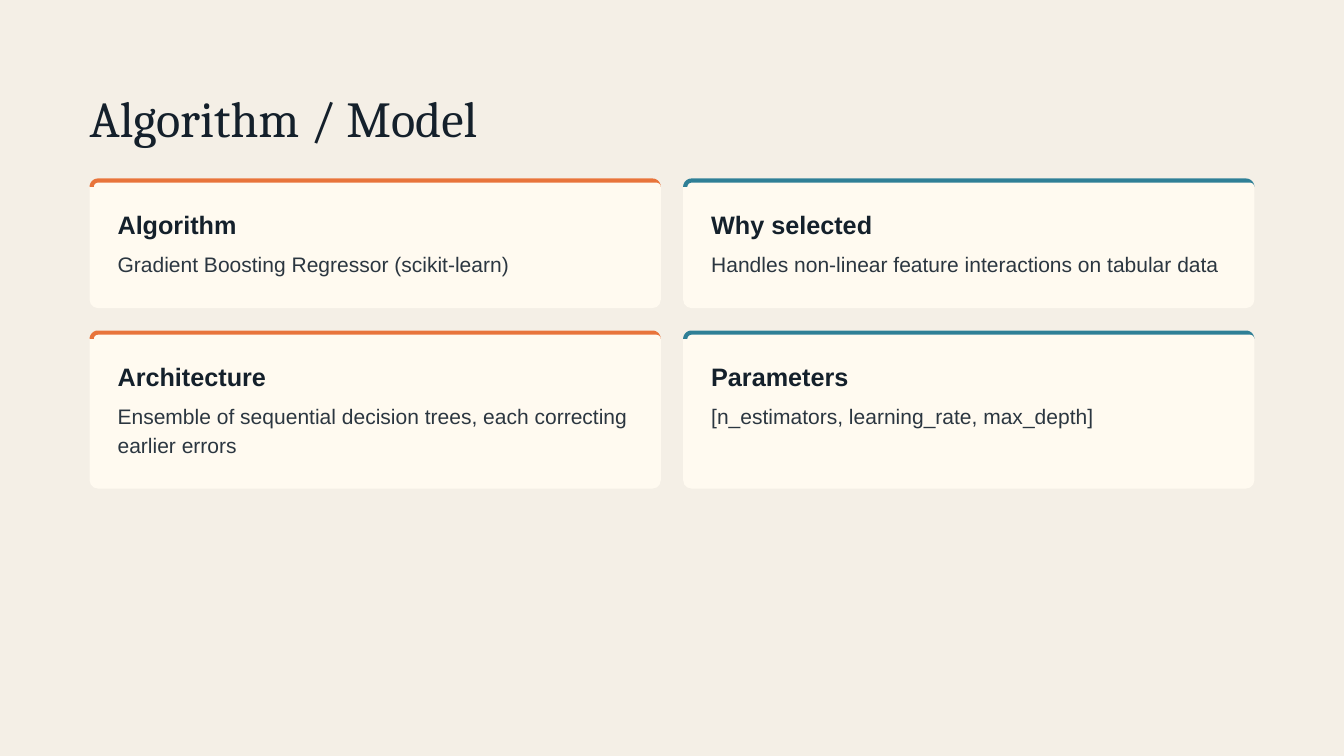
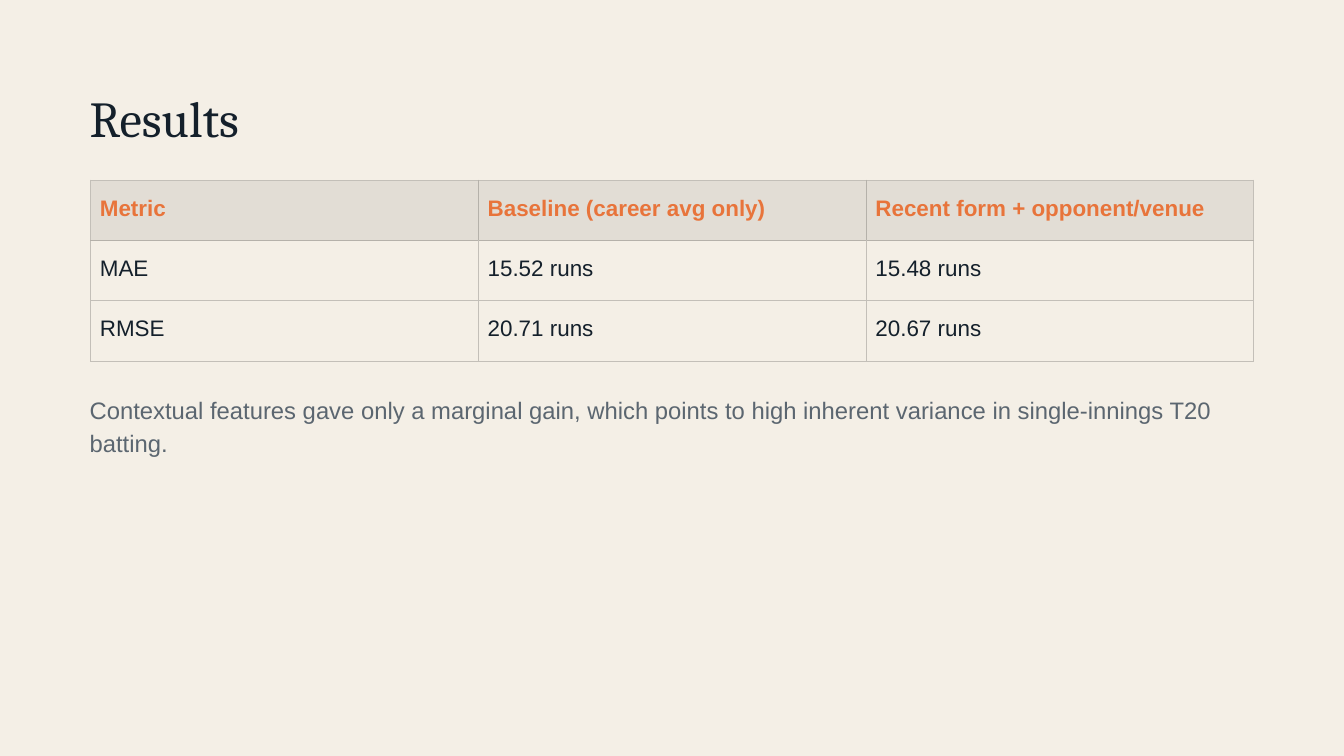
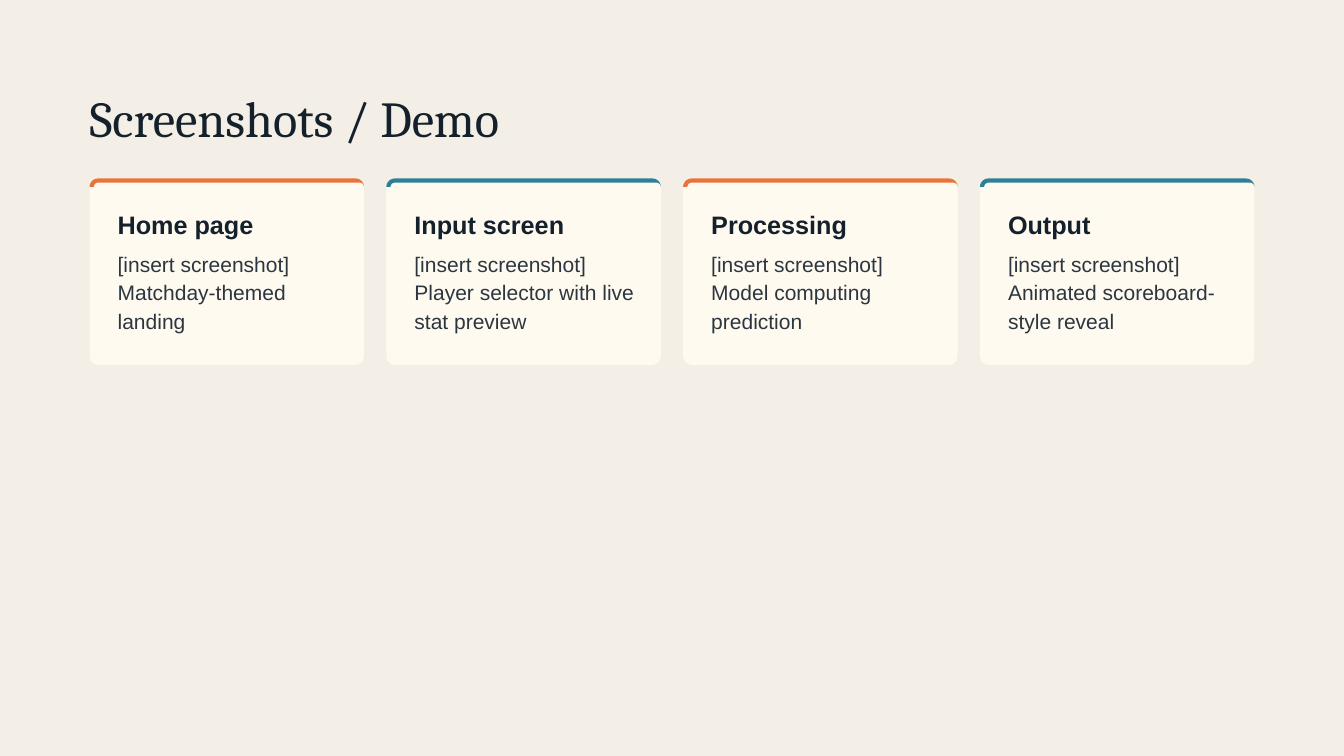
from dataclasses import dataclass
from math import cos, radians, sin

from lxml.etree import SubElement
from pptx import Presentation
from pptx.dml.color import RGBColor
from pptx.enum.shapes import MSO_SHAPE
from pptx.enum.text import MSO_ANCHOR, MSO_AUTO_SIZE, PP_ALIGN
from pptx.oxml.ns import qn
from pptx.presentation import Presentation as Deck
from pptx.shapes.autoshape import Shape
from pptx.slide import Slide
from pptx.table import _Cell as Cell
from pptx.text.text import TextFrame
from pptx.util import Pt


@dataclass(frozen=True)
class Style:
    font: str
    size: float
    lead: float
    color: str
    bold: bool = False


@dataclass(frozen=True)
class Theme:
    page: str = "F4EFE6"
    card: str = "FFFAF0"
    bars: tuple[str, str] = ("E8743B", "2F7F96")
    band: str = "E2DDD5"
    rule: str = "C3BFB8"
    edge: str = "B5B1AA"
    title: Style = Style("Cambria", 54, 59.4, "14202B")
    head: Style = Style("Arial", 27, 32.4, "14202B", True)
    body: Style = Style("Arial", 22.5, 30.4, "2B3640")
    label: Style = Style("Arial", 24, 33.6, "E8743B", True)
    value: Style = Style("Arial", 24, 33.6, "14202B")
    note: Style = Style("Arial", 25.5, 35.7, "5B6670")


@dataclass(frozen=True)
class Card:
    head: str
    body: str


@dataclass(frozen=True)
class Box:
    left: float
    top: float
    width: float
    height: float

    def lengths(self) -> tuple[Pt, Pt, Pt, Pt]:
        return Pt(self.left), Pt(self.top), Pt(self.width), Pt(self.height)


THEME = Theme()
LEFT, TOP, WIDE = 96, 191.25, 1248
GAP, PAD, ROUND, BAR = 24, 30, 9, 4.5
SLACK = 1.03  # text boxes run a little wider than their column

MODEL = [
    Card("Algorithm", "Gradient Boosting Regressor (scikit-learn)"),
    Card("Why selected", "Handles non-linear feature interactions on tabular data"),
    Card("Architecture", "Ensemble of sequential decision trees, each correcting earlier errors"),
    Card("Parameters", "[n_estimators, learning_rate, max_depth]"),
]
DEMO = [
    Card("Home page", "[insert screenshot] Matchday-themed landing"),
    Card("Input screen", "[insert screenshot] Player selector with live stat preview"),
    Card("Processing", "[insert screenshot] Model computing prediction"),
    Card("Output", "[insert screenshot] Animated scoreboard-style reveal"),
]
SCORES = [
    ["Metric", "Baseline (career avg only)", "Recent form + opponent/venue"],
    ["MAE", "15.52 runs", "15.48 runs"],
    ["RMSE", "20.71 runs", "20.67 runs"],
]
NOTE = ("Contextual features gave only a marginal gain, which points to "
        "high inherent variance in single-innings T20 batting.")


def write(frame: TextFrame, text: str, style: Style, pad: float = 0) -> None:
    frame.text = text
    frame.word_wrap = True
    frame.vertical_anchor = MSO_ANCHOR.TOP
    frame.margin_left = frame.margin_right = Pt(pad)
    frame.margin_top = frame.margin_bottom = Pt(pad)
    para = frame.paragraphs[0]
    para.alignment = PP_ALIGN.LEFT
    para.line_spacing = Pt(style.lead)
    for run in para.runs:
        font = run.font
        font.name, font.size, font.bold = style.font, Pt(style.size), style.bold
        font.color.rgb = RGBColor.from_string(style.color)


def add_text(slide: Slide, box: Box, text: str, style: Style) -> None:
    write(slide.shapes.add_textbox(*box.lengths()).text_frame, text, style)


def paint(shape: Shape, color: str) -> None:
    shape.shadow.inherit = False
    shape.fill.solid()
    shape.fill.fore_color.rgb = RGBColor.from_string(color)
    shape.line.fill.background()


def add_slide(deck: Deck, title: str) -> Slide:
    slide = deck.slides.add_slide(deck.slide_layouts[5])
    head = slide.shapes.title
    head.left, head.top, head.width, head.height = Box(LEFT, 99, 1285, 59).lengths()
    write(head.text_frame, title, THEME.title)
    head.text_frame.auto_size = MSO_AUTO_SIZE.NONE
    return slide


def arc(x: float, y: float, size: float, start: int, end: int) -> list[tuple[Pt, Pt]]:
    """Points round the centre x, y; angles run anticlockwise from the right."""
    turns = [radians(start + (end - start) * i / 12) for i in range(13)]
    return [(Pt(x + size * cos(t)), Pt(y - size * sin(t))) for t in turns]


def add_bar(slide: Slide, box: Box, color: str) -> None:
    """Draw the coloured top edge that follows the card's round corners."""
    near, far, low = box.left + ROUND, box.left + box.width, box.top + ROUND
    dots = (arc(near, low, ROUND, 180, 90) + arc(far - ROUND, low, ROUND, 90, 0)
            + arc(far - BAR, low, BAR, 0, 90) + arc(near, low, BAR, 90, 180))
    pen = slide.shapes.build_freeform(*dots[0])
    pen.add_line_segments(dots[1:])
    paint(pen.convert_to_shape(), color)


def add_card(slide: Slide, box: Box, card: Card, color: str) -> None:
    panel = slide.shapes.add_shape(MSO_SHAPE.ROUNDED_RECTANGLE, *box.lengths())
    panel.adjustments[0] = ROUND / min(box.width, box.height)
    paint(panel, THEME.card)
    add_bar(slide, box, color)
    left, width = box.left + PAD, (box.width - 2 * PAD) * SLACK
    add_text(slide, Box(left, box.top + 33, width, 36.5), card.head, THEME.head)
    add_text(slide, Box(left, box.top + 75, width, box.height - 101), card.body, THEME.body)


def add_cards(slide: Slide, cards: list[Card], cols: int, lines: list[int]) -> None:
    """Lay cards out in a grid; lines gives the body lines of each row."""
    width = (WIDE - GAP * (cols - 1)) / cols
    top = TOP
    for row, count in enumerate(lines):
        height = 108.5 + count * THEME.body.lead
        for col, card in enumerate(cards[row * cols:(row + 1) * cols]):
            box = Box(LEFT + col * (width + GAP), top, width, height)
            add_card(slide, box, card, THEME.bars[col % 2])
        top += height + GAP


def add_edge(cell: Cell, side: str, color: str) -> None:
    line = SubElement(cell._tc.get_or_add_tcPr(), qn(f"a:ln{side}"), w=str(Pt(1)))
    fill = SubElement(line, qn("a:solidFill"))
    SubElement(fill, qn("a:srgbClr"), val=color)


def add_scores(slide: Slide, rows: list[list[str]]) -> None:
    cols = len(rows[0])
    box = Box(97, 193, 1246.5, 64.6 * len(rows))
    table = slide.shapes.add_table(len(rows), cols, *box.lengths()).table
    table.horz_banding = False
    for col in table.columns:
        col.width = Pt(box.width / cols)
    for r, texts in enumerate(rows):
        table.rows[r].height = Pt(64.6)
        for c, text in enumerate(texts):
            cell = table.cell(r, c)
            dark = {"L": r == 0 and c > 0, "R": r == 0 and c < cols - 1,
                    "T": r == 1, "B": r == 0}
            for side, deep in dark.items():
                add_edge(cell, side, THEME.edge if deep else THEME.rule)
            write(cell.text_frame, text, THEME.value if r else THEME.label)
            cell.margin_left = cell.margin_right = Pt(10)
            cell.margin_top = cell.margin_bottom = Pt(10)
            if r:
                cell.fill.background()
            else:
                cell.fill.solid()
                cell.fill.fore_color.rgb = RGBColor.from_string(THEME.band)


def main() -> None:
    deck = Presentation()
    deck.slide_width, deck.slide_height = Pt(1440), Pt(810)
    back = deck.slide_master.background.fill
    back.solid()
    back.fore_color.rgb = RGBColor.from_string(THEME.page)

    add_cards(add_slide(deck, "Algorithm / Model"), MODEL, 2, [1, 2])

    slide = add_slide(deck, "Results")
    add_scores(slide, SCORES)
    add_text(slide, Box(LEFT, 418.5, 1285, 79), NOTE, THEME.note)

    add_cards(add_slide(deck, "Screenshots / Demo"), DEMO, 4, [3])
    deck.save("out.pptx")


if __name__ == "__main__":
    main()
